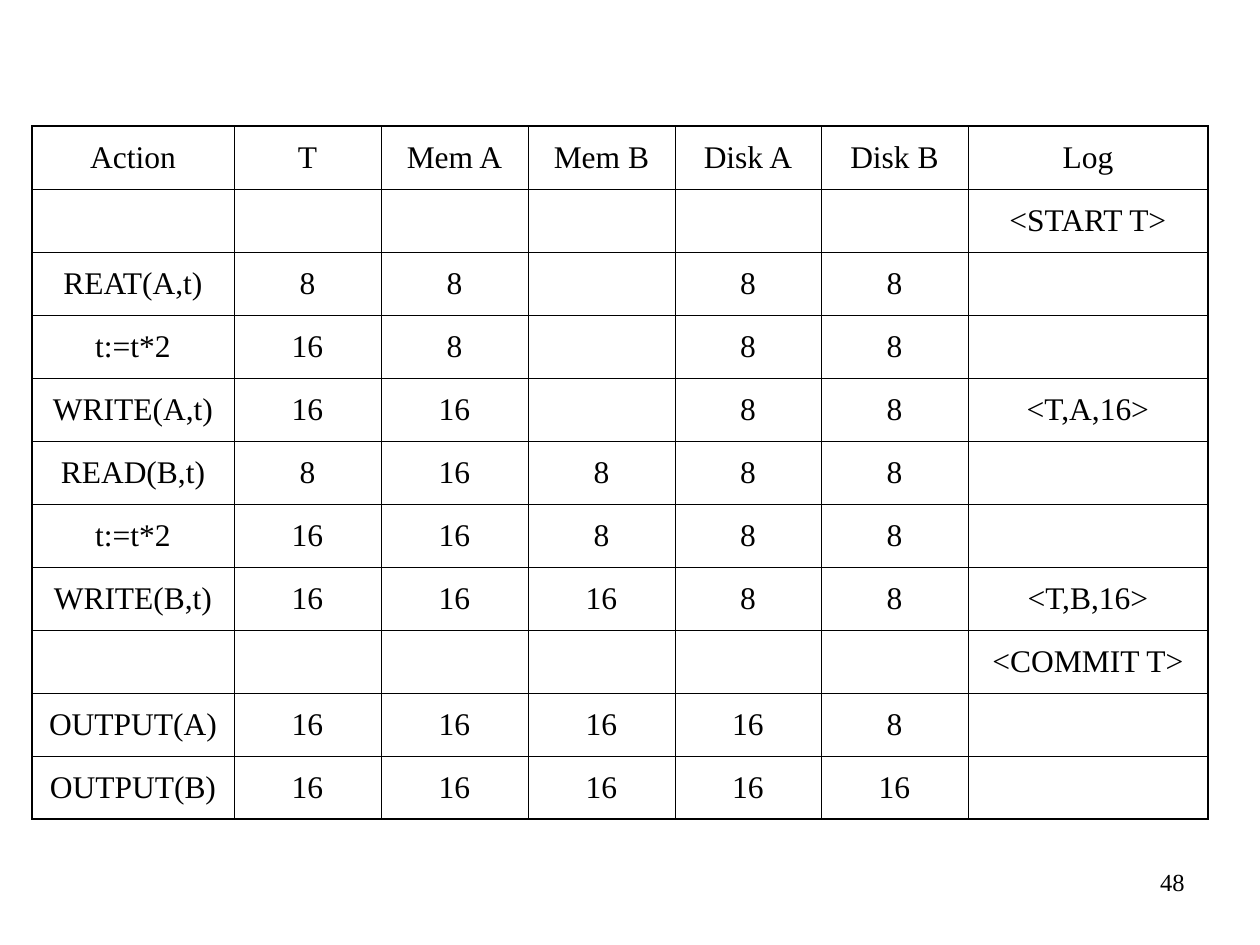
from lxml import etree
from pptx import Presentation
from pptx import util as u
from pptx.dml.color import RGBColor
from pptx.enum import text
from pptx.oxml import ns

PX = u.Inches(1) / 126
BLACK = RGBColor(0, 0, 0)
FONT = "Times New Roman"
THIN, THICK = u.Pt(0.45), u.Pt(1.08)

COLUMNS = [202, 147, 147, 147, 146, 147, 240]
ROW_HEIGHT = 63
LOG_ROWS = [
    ["Action", "T", "Mem A", "Mem B", "Disk A", "Disk B", "Log"],
    ["", "", "", "", "", "", "<START T>"],
    ["REAT(A,t)", "8", "8", "", "8", "8", ""],
    ["t:=t*2", "16", "8", "", "8", "8", ""],
    ["WRITE(A,t)", "16", "16", "", "8", "8", "<T,A,16>"],
    ["READ(B,t)", "8", "16", "8", "8", "8", ""],
    ["t:=t*2", "16", "16", "8", "8", "8", ""],
    ["WRITE(B,t)", "16", "16", "16", "8", "8", "<T,B,16>"],
    ["", "", "", "", "", "", "<COMMIT T>"],
    ["OUTPUT(A)", "16", "16", "16", "16", "8", ""],
    ["OUTPUT(B)", "16", "16", "16", "16", "16", ""],
]


def px(length):
    return u.Emu(round(length * PX))


def add_span(para, words, size):
    span = para.add_run()
    span.text = words
    span.font.name = FONT
    span.font.size = u.Pt(size)
    span.font.color.rgb = BLACK


def set_borders(cell, widths):
    """Draw the cell's borders; widths are left, right, top, bottom."""
    properties = cell._tc.get_or_add_tcPr()
    for index, (side, width) in enumerate(zip("LRTB", widths)):
        line = etree.Element(ns.qn("a:ln" + side), w=str(width))
        fill = etree.SubElement(line, ns.qn("a:solidFill"))
        etree.SubElement(fill, ns.qn("a:srgbClr"), val=str(BLACK))
        properties.insert(index, line)


def add_log_table(page, left, top):
    last_row, last_column = len(LOG_ROWS) - 1, len(COLUMNS) - 1
    table = page.shapes.add_table(
        len(LOG_ROWS), len(COLUMNS), px(left), px(top),
        px(sum(COLUMNS)), px(ROW_HEIGHT * len(LOG_ROWS))).table
    table.first_row = table.horz_banding = False
    for column, width in zip(table.columns, COLUMNS):
        column.width = px(width)
    for r, entries in enumerate(LOG_ROWS):
        table.rows[r].height = px(ROW_HEIGHT)
        for c, entry in enumerate(entries):
            cell = table.cell(r, c)
            cell.fill.background()
            cell.vertical_anchor = text.MSO_ANCHOR.MIDDLE
            outer = (c == 0, c == last_column, r == 0, r == last_row)
            set_borders(cell, [THICK if edge else THIN for edge in outer])
            if entry:
                para = cell.text_frame.paragraphs[0]
                para.alignment = text.PP_ALIGN.CENTER
                para.space_before = u.Pt(4.5)
                add_span(para, entry, 18)


def add_page_number(page, left, top, width, height):
    box = page.shapes.add_textbox(px(left), px(top), px(width), px(height))
    box.text_frame.word_wrap = True
    para = box.text_frame.paragraphs[0]
    para.alignment = text.PP_ALIGN.RIGHT
    add_span(para, "48", 14)


def main():
    deck = Presentation()
    deck.slide_width, deck.slide_height = px(1260), px(945)
    page = deck.slides.add_slide(deck.slide_layouts[6])
    add_page_number(page, 935, 861, 262, 63)
    add_log_table(page, 32, 126)
    deck.save("out.pptx")


if __name__ == "__main__":
    main()
